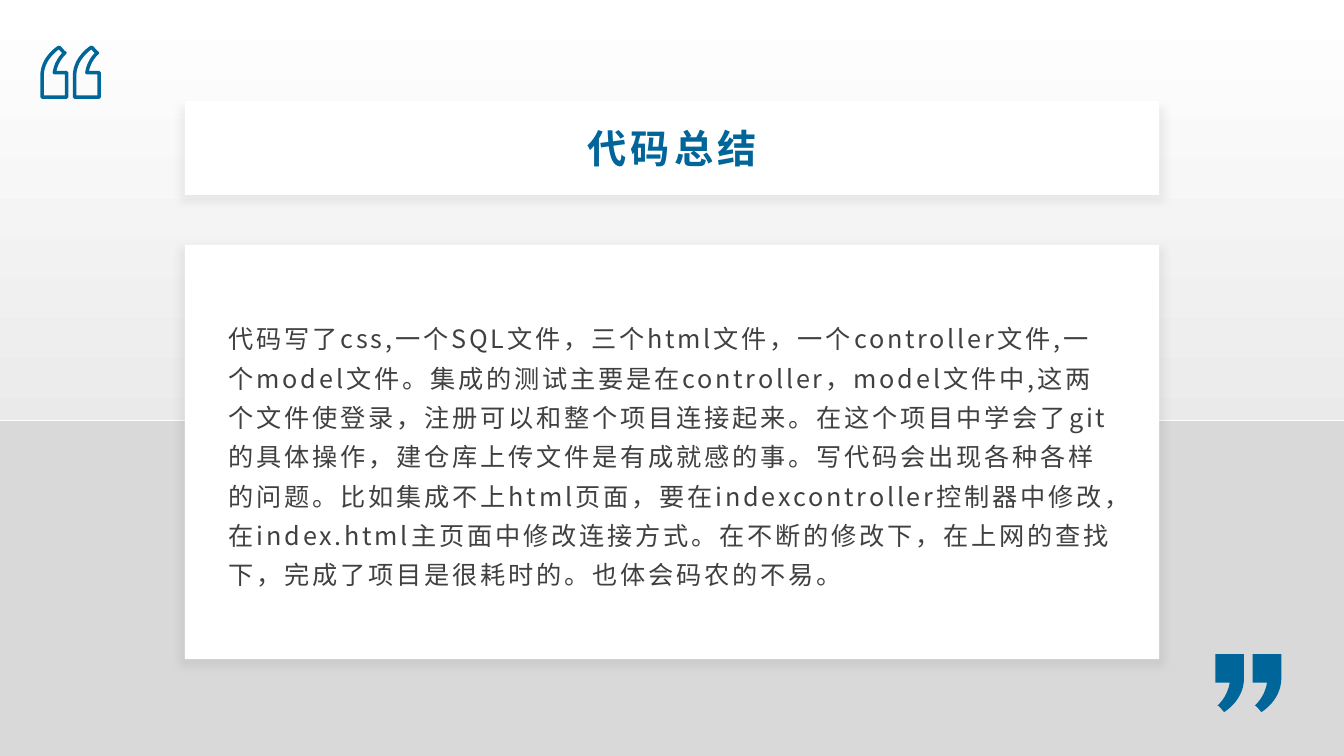
from lxml.etree import SubElement
from pptx import Presentation
from pptx.dml.color import RGBColor
from pptx.enum.dml import MSO_PATTERN
from pptx.enum.shapes import MSO_SHAPE
from pptx.enum.text import MSO_ANCHOR, MSO_AUTO_SIZE, PP_ALIGN
from pptx.oxml.ns import qn
from pptx.util import Cm, Pt

TITLE = "代码总结"
SUMMARY = (
    "代码写了css,一个SQL文件，三个html文件，一个controller文件,一个model文件。"
    "集成的测试主要是在controller，model文件中,这两个文件使登录，注册可以和整个项目连接起来。"
    "在这个项目中学会了git的具体操作，建仓库上传文件是有成就感的事。写代码会出现各种各样的问题。"
    "比如集成不上html页面，要在indexcontroller控制器中修改，在index.html主页面中修改连接方式。"
    "在不断的修改下，在上网的查找下，完成了项目是很耗时的。也体会码农的不易。"
)
FONT = "Noto Sans CJK SC"
BLUE = RGBColor(0x00, 0x65, 0x99)
WHITE = RGBColor(0xFF, 0xFF, 0xFF)
GRAY = RGBColor(0xD9, 0xD9, 0xD9)
TEXT_GRAY = RGBColor(0x40, 0x40, 0x40)

WIDTH, HEIGHT = 33.87, 19.05
FLOOR_TOP = 10.59
CARD_LEFT, CARD_WIDTH = 4.66, 24.55
CARDS = [(2.54, 2.37), (6.17, 10.44)]
TEXT_LEFT, TEXT_WIDTH = 5.51, 22.86

QUOTE_START = (43, 0)
QUOTE_SEGMENTS = [
    [(46, 3)],
    [(48, 5), (51, 10), (56, 14)],
    [(58, 14)],
    [(58, 14), (36, 31), (31, 64)],
    [(62, 64)],
    [(62, 126)],
    [(0, 126)],
    [(0, 70)],
    [(2, 24), (43, 0), (43, 0)],
]
QUOTE_UNIT = Cm(0.01)
CLOSING_SCALE = 1.16
OPENING_MARKS = [(1.06, 1.19), (1.88, 1.19)]
CLOSING_MARKS = [(30.63, 16.48), (31.57, 16.48)]


def add_quote(slide, left, top, closing):
    """Add an outlined opening mark or a solid, turned closing mark."""
    scale = QUOTE_UNIT * (CLOSING_SCALE if closing else 1)
    builder = slide.shapes.build_freeform(*QUOTE_START, scale=scale)
    builder.add_line_segments([segment[-1] for segment in QUOTE_SEGMENTS], close=True)
    mark = builder.convert_to_shape(Cm(left), Cm(top))
    for line, segment in zip(list(mark.element.iter(qn("a:lnTo"))), QUOTE_SEGMENTS):
        if len(segment) == 3:
            line.tag = qn("a:cubicBezTo")
            line.remove(line[0])
            for x, y in segment:
                SubElement(line, qn("a:pt"), x=str(x), y=str(y))
    mark.shadow.inherit = False
    if closing:
        mark.rotation = 180
        mark.fill.solid()
        mark.fill.fore_color.rgb = BLUE
        mark.line.fill.background()
    else:
        mark.fill.background()
        mark.line.color.rgb = BLUE
        mark.line.width = Pt(2.5)


def add_rectangle(slide, left, top, width, height):
    """Add a rectangle without line or shadow."""
    shape = slide.shapes.add_shape(
        MSO_SHAPE.RECTANGLE, Cm(left), Cm(top), Cm(width), Cm(height)
    )
    shape.shadow.inherit = False
    shape.line.fill.background()
    return shape


def add_card(slide, top, height):
    """Add a white card with a soft shadow below it."""
    card = add_rectangle(slide, CARD_LEFT, top, CARD_WIDTH, height)
    card.fill.solid()
    card.fill.fore_color.rgb = WHITE
    effects = card.element.spPr.find(qn("a:effectLst"))
    shadow = SubElement(
        effects, qn("a:outerShdw"), blurRad=str(Pt(6)), dist=str(Pt(4)),
        dir="5400000", sx="101000", sy="101000", algn="ctr", rotWithShape="0",
    )
    color = SubElement(shadow, qn("a:srgbClr"), val="000000")
    SubElement(color, qn("a:alpha"), val="6000")


def fill_placeholder(shape, text, top, height, size, color, spacing, bold=False):
    """Place, fill and format a placeholder, and bring it to the front."""
    shape.left, shape.top = Cm(TEXT_LEFT), Cm(top)
    shape.width, shape.height = Cm(TEXT_WIDTH), Cm(height)
    frame = shape.text_frame
    frame.text = text
    frame.word_wrap = True
    frame.auto_size = MSO_AUTO_SIZE.NONE
    frame.vertical_anchor = MSO_ANCHOR.MIDDLE
    paragraph = frame.paragraphs[0]
    paragraph.space_before = Pt(0)
    run = paragraph.runs[0]
    run.font.name = FONT
    run.font.size = Pt(size)
    run.font.bold = bold
    run.font.color.rgb = color
    properties = run._r.get_or_add_rPr()
    properties.set("lang", "zh-CN")
    properties.set("spc", str(spacing * 100))
    SubElement(properties, qn("a:ea"), typeface=FONT)
    shape.element.getparent().append(shape.element)
    return paragraph


def main():
    """Build the code summary slide."""
    presentation = Presentation()
    presentation.slide_width, presentation.slide_height = Cm(WIDTH), Cm(HEIGHT)
    slide = presentation.slides.add_slide(presentation.slide_layouts[1])

    background = slide.background.fill
    background.gradient()
    background.gradient_angle = 270
    for stop, color in zip(background.gradient_stops, (WHITE, GRAY)):
        stop.color.rgb = color

    floor = add_rectangle(slide, 0, FLOOR_TOP, WIDTH, HEIGHT - FLOOR_TOP)
    floor.fill.patterned()
    floor.fill.pattern = MSO_PATTERN.DARK_HORIZONTAL
    floor.fill.fore_color.rgb = GRAY
    floor.fill.back_color.rgb = WHITE

    title_card, summary_card = CARDS
    add_card(slide, *title_card)
    for marks, closing in ((CLOSING_MARKS, True), (OPENING_MARKS, False)):
        for left, top in marks:
            add_quote(slide, left, top, closing)
    add_card(slide, *summary_card)

    title, body = slide.shapes.title, slide.placeholders[1]
    heading = fill_placeholder(title, TITLE, 2.97, 1.52, 28, BLUE, 3, bold=True)
    heading.alignment = PP_ALIGN.CENTER
    summary = fill_placeholder(body, SUMMARY, 7.03, 8.73, 18, TEXT_GRAY, 2)
    summary.alignment = PP_ALIGN.LEFT
    summary.line_spacing = 1.3
    summary.space_after = Pt(8)
    properties = summary._p.get_or_add_pPr()
    properties.set("marL", "0")
    properties.set("indent", "0")
    SubElement(properties, qn("a:buNone"))

    presentation.save("out.pptx")


if __name__ == "__main__":
    main()
